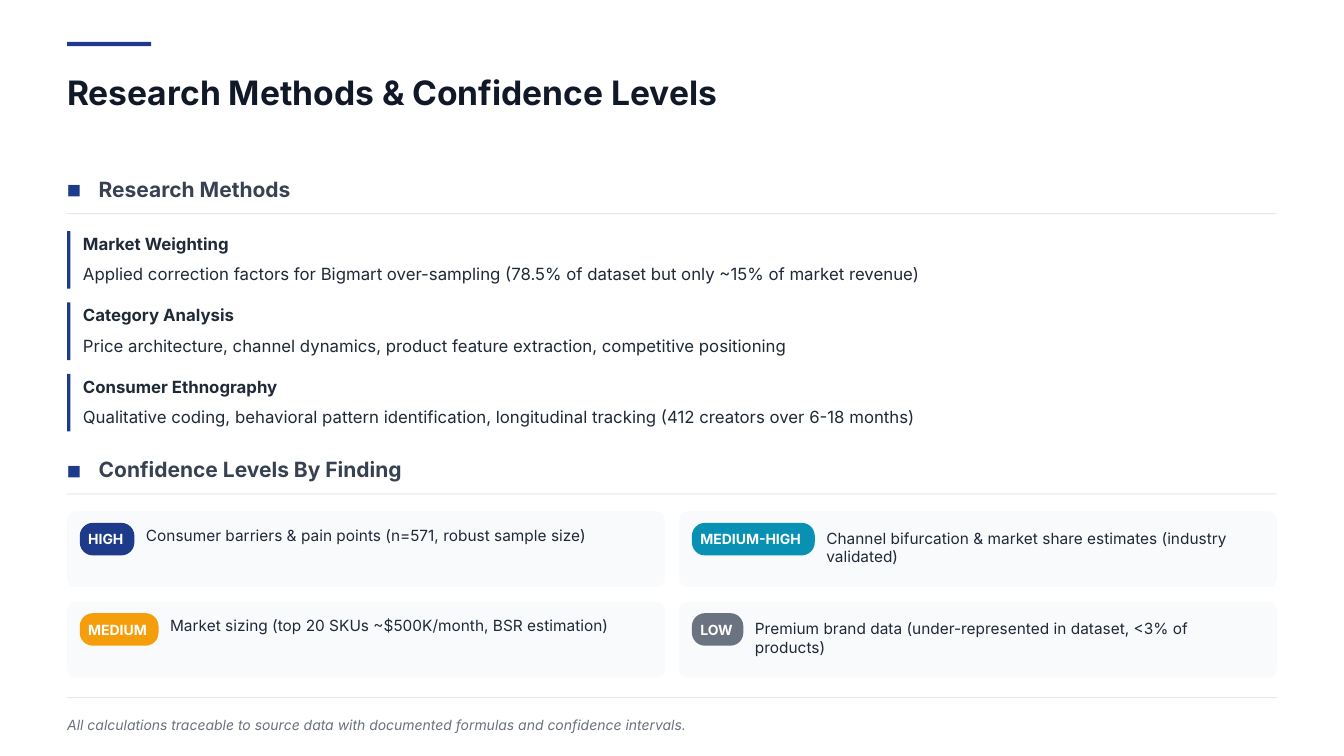
from pptx import Presentation
from pptx.dml.color import RGBColor
from pptx.enum.shapes import MSO_SHAPE
from pptx.enum.text import MSO_ANCHOR
from pptx.util import Emu, Pt

PX = 9525
FONT = "Inter"
WHITE = RGBColor(0xFF, 0xFF, 0xFF)
NAVY = RGBColor(0x1E, 0x3A, 0x8A)
TEAL = RGBColor(0x08, 0x91, 0xB2)
AMBER = RGBColor(0xF5, 0x9E, 0x0B)
GREY = RGBColor(0x6B, 0x72, 0x80)
INK = RGBColor(0x11, 0x18, 0x27)
HEADING = RGBColor(0x37, 0x41, 0x51)
BODY = RGBColor(0x1F, 0x29, 0x37)
RULE = RGBColor(0xE5, 0xE7, 0xEB)
FOOTER_RULE = RGBColor(0xE2, 0xE8, 0xF0)
CARD = RGBColor(0xF9, 0xFA, 0xFB)

LEFT = 64
CONTENT_WIDTH = 1152

SECTIONS = [
    (167, "Research Methods", 198),
    (434, "Confidence Levels By Finding", 304),
]
METHODS = [
    ("Market Weighting", 150,
     "Applied correction factors for Bigmart over-sampling "
     "(78.5% of dataset but only ~15% of market revenue)", 814),
    ("Category Analysis", 154,
     "Price architecture, channel dynamics, product feature extraction, "
     "competitive positioning", 684),
    ("Consumer Ethnography", 196,
     "Qualitative coding, behavioral pattern identification, "
     "longitudinal tracking (412 creators over 6-18 months)", 806),
]
FINDINGS = [
    ("HIGH", NAVY, 52,
     "Consumer barriers & pain points (n=571, robust sample size)", 440, 19),
    ("MEDIUM-HIGH", TEAL, 117,
     "Channel bifurcation & market share estimates (industry validated)", 401, 43),
    ("MEDIUM", AMBER, 75,
     "Market sizing (top 20 SKUs ~$500K/month, BSR estimation)", 437, 19),
    ("LOW", GREY, 49,
     "Premium brand data (under-represented in dataset, <3% of products)", 432, 43),
]


def px(*lengths):
    return [Emu(length * PX) for length in lengths]


def add_block(slide, x, y, width, height, color, radius=0):
    kind = MSO_SHAPE.ROUNDED_RECTANGLE if radius else MSO_SHAPE.RECTANGLE
    block = slide.shapes.add_shape(kind, *px(x, y, width, height))
    if radius:
        block.adjustments[0] = radius
    block.shadow.inherit = False
    block.fill.solid()
    block.fill.fore_color.rgb = color
    block.line.fill.background()


def add_text(slide, x, y, width, height, text, size, color, bold=False, italic=False):
    frame = slide.shapes.add_textbox(*px(x, y, width, height)).text_frame
    frame.margin_left = frame.margin_right = 0
    frame.margin_top = frame.margin_bottom = 0
    frame.word_wrap = True
    frame.vertical_anchor = MSO_ANCHOR.MIDDLE
    paragraph = frame.paragraphs[0]
    paragraph.text = text
    font = paragraph.font
    font.name, font.size, font.color.rgb = FONT, Pt(size), color
    font.bold, font.italic = bold, italic


def add_section(slide, y, heading, width):
    add_block(slide, LEFT, y + 36, CONTENT_WIDTH, 1, RULE)
    add_text(slide, LEFT, y, 36, 26, "◼", 16, NAVY, bold=True)
    add_text(slide, LEFT + 30, y + 1, width, 24, heading, 15, HEADING, bold=True)


def add_method(slide, y, name, name_width, detail, detail_width):
    add_block(slide, LEFT, y, 3, 55, NAVY)
    add_text(slide, LEFT + 15, y + 2, name_width, 20, name, 12, BODY, bold=True)
    add_text(slide, LEFT + 15, y + 31, detail_width, 20, detail, 12, BODY)


def add_finding(slide, x, y, level, color, badge_width, finding, width, height):
    add_block(slide, x, y, 569, 72, CARD, 0.11)
    add_block(slide, x + 12, y + 11, badge_width, 31, color, 0.4)
    add_text(slide, x + 20, y + 18, badge_width - 6, 17, level, 10, WHITE, bold=True)
    add_text(slide, x + badge_width + 23, y + 13, width, height, finding, 11, BODY)


def main():
    deck = Presentation()
    deck.slide_width, deck.slide_height = px(1280, 720)
    slide = deck.slides.add_slide(deck.slide_layouts[6])
    slide.background.fill.solid()
    slide.background.fill.fore_color.rgb = WHITE

    add_block(slide, LEFT, 40, 80, 4, NAVY)
    add_text(slide, LEFT, 68, 621, 39, "Research Methods & Confidence Levels",
             24, INK, bold=True)
    for section in SECTIONS:
        add_section(slide, *section)
    for index, method in enumerate(METHODS):
        add_method(slide, 220 + 68 * index, *method)
    for index, finding in enumerate(FINDINGS):
        row, column = divmod(index, 2)
        add_finding(slide, LEFT + 583 * column, 487 + 86 * row, *finding)

    add_block(slide, LEFT, 664, CONTENT_WIDTH, 1, FOOTER_RULE)
    add_text(slide, LEFT, 682, 627, 17,
             "All calculations traceable to source data with documented formulas "
             "and confidence intervals.", 10, GREY, italic=True)
    deck.save("out.pptx")


if __name__ == "__main__":
    main()
